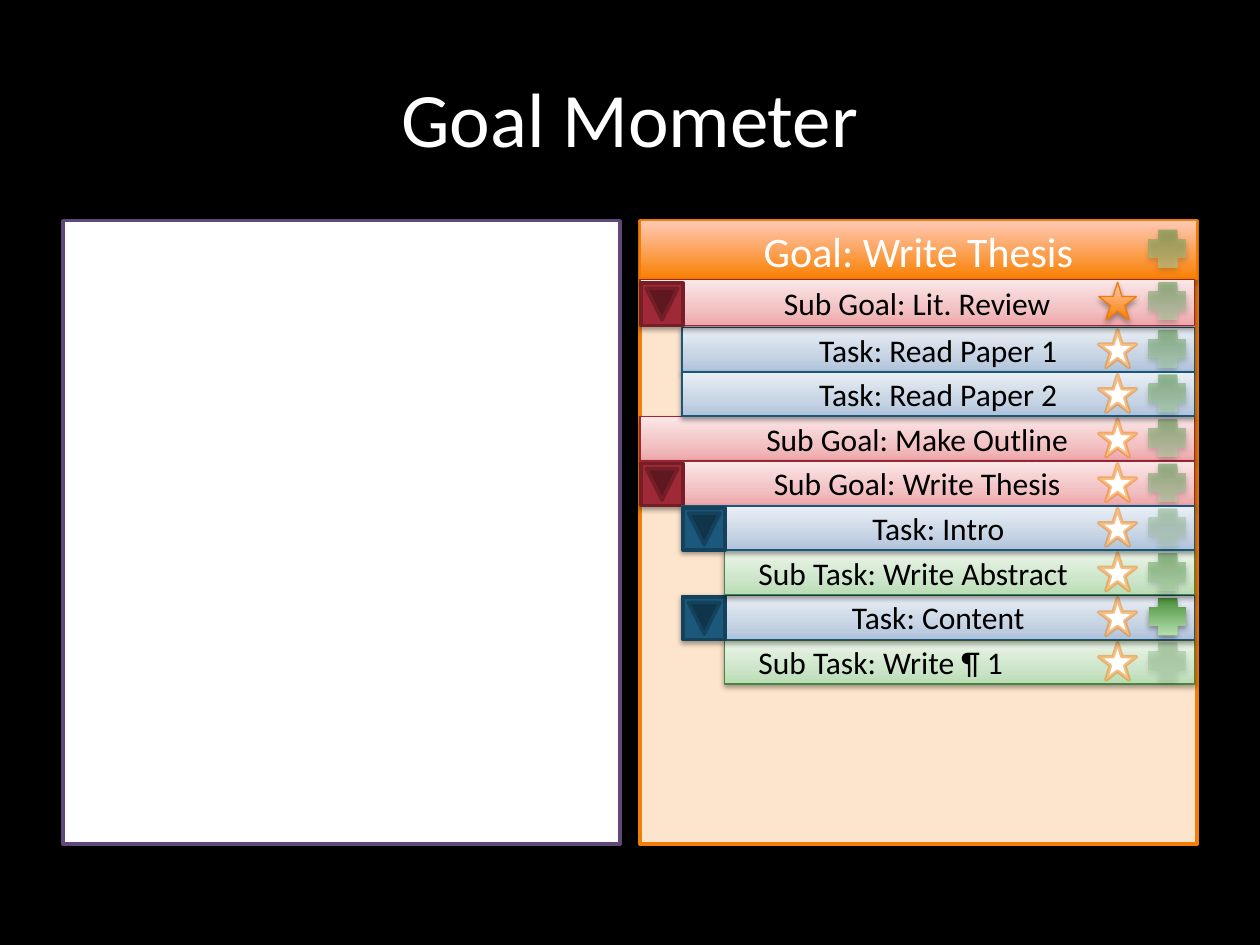
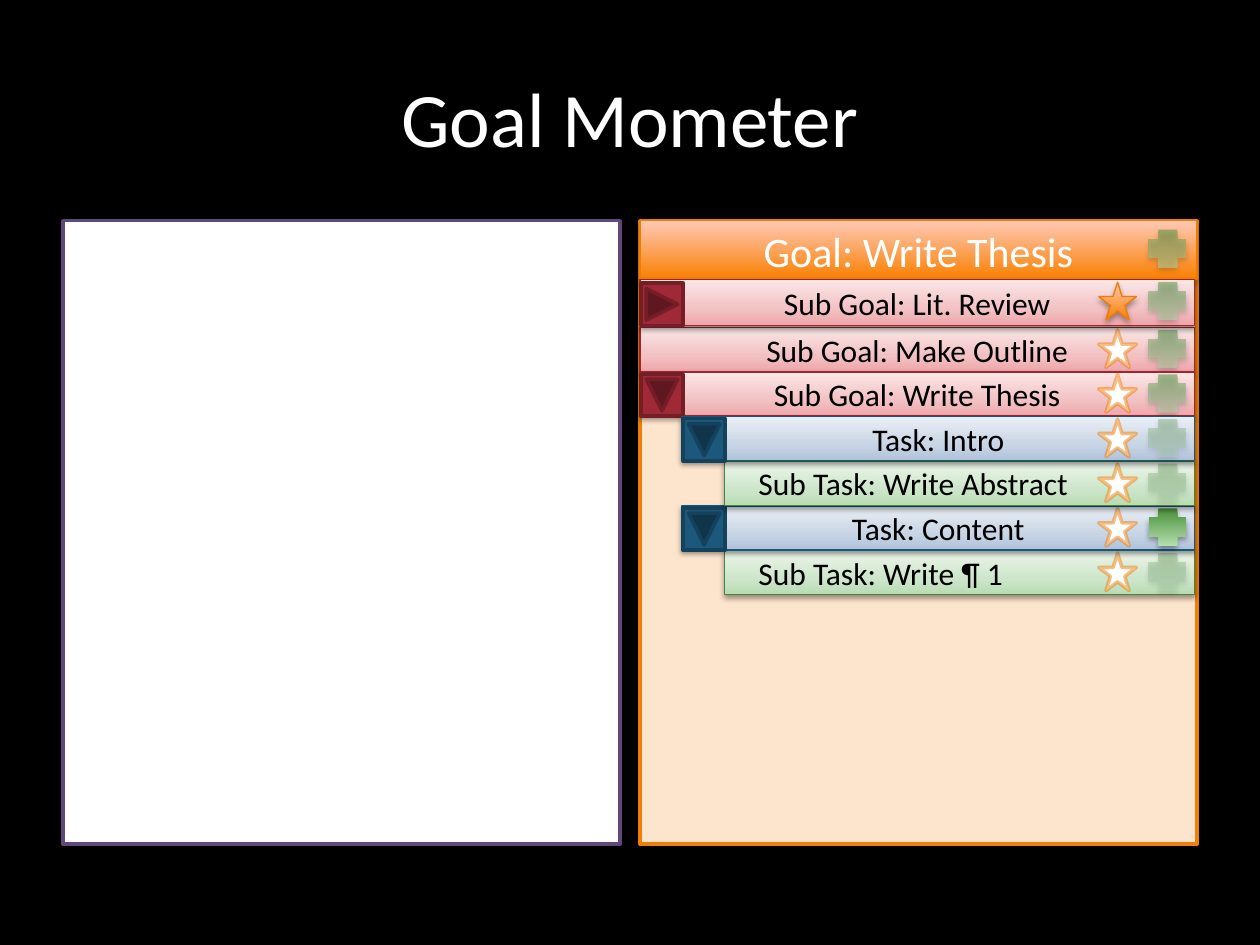
from pptx import Presentation
from pptx import util as u
from pptx.dml.color import RGBColor
from pptx.enum import shapes, text
from pptx.oxml import parse_xml
from pptx.oxml.ns import nsdecls, qn

BLACK = RGBColor(0x00, 0x00, 0x00)
WHITE = RGBColor(0xFF, 0xFF, 0xFF)
PURPLE = RGBColor(0x60, 0x48, 0x78)
PEACH = RGBColor(0xFD, 0xE5, 0xCD)
ORANGE = RGBColor(0xF0, 0x7F, 0x09)
ORANGE_EDGE = RGBColor(0xF0, 0x7C, 0x03)
ORANGE_BLEND = [(0, RGBColor(0xF9, 0x7F, 0x00)), (100, RGBColor(0xFF, 0xC9, 0xB5))]
PLUS_BLEND = [(0, RGBColor(0x48, 0x8F, 0x38)), (100, RGBColor(0xB5, 0xDF, 0xAF))]
RED_BLEND = [(0, RGBColor(0xEE, 0xA6, 0xA9)), (35, RGBColor(0xF2, 0xC1, 0xC3)),
             (100, RGBColor(0xFB, 0xE7, 0xE7))]
BLUE_BLEND = [(0, RGBColor(0xAF, 0xC2, 0xDA)), (35, RGBColor(0xC7, 0xD4, 0xE4)),
              (100, RGBColor(0xEA, 0xEF, 0xF5))]
GREEN_BLEND = [(0, RGBColor(0xB8, 0xDC, 0xB3)), (35, RGBColor(0xCD, 0xE5, 0xCA)),
               (100, RGBColor(0xEC, 0xF6, 0xEA))]

TITLE = "Goal Mometer"
GOAL = "Goal: Write Thesis"

LEVELS = {
    "Sub Goal": {"indent": 0, "blend": RED_BLEND, "edge": RGBColor(0x9E, 0x25, 0x33),
                 "button": RGBColor(0x9F, 0x29, 0x36), "button_edge": RGBColor(0x76, 0x1E, 0x28)},
    "Task": {"indent": 1, "blend": BLUE_BLEND, "edge": RGBColor(0x18, 0x57, 0x7C),
             "button": RGBColor(0x1B, 0x58, 0x7C), "button_edge": RGBColor(0x14, 0x41, 0x5C)},
    "Sub Task": {"indent": 2, "blend": GREEN_BLEND, "edge": RGBColor(0x4B, 0x84, 0x3F)},
}

OPEN, CLOSED = 90, 0
DONE = "Sub Goal: Lit. Review"
OUTLINE = ("Sub Goal: Make Outline", None, 50)
THESIS = ("Sub Goal: Write Thesis", OPEN, 50)
INTRO = ("Task: Intro", OPEN, 30)
CONTENT = ("Task: Content", OPEN, 100)
PARAGRAPH = ("Sub Task: Write ¶ 1", None, 30)

SLIDES = [
    {"rows": [(DONE, OPEN, 50), ("Task: Read Paper 1", None, 50),
              ("Task: Read Paper 2", None, 50), OUTLINE, THESIS, INTRO,
              ("Sub Task: Write Abstract", None, 50), CONTENT, PARAGRAPH],
     "stacking": [8, 7, 6, 3, 1, 0, 2, 4, 5]},
    {"rows": [(DONE, CLOSED, 50), OUTLINE, THESIS, INTRO,
              ("Sub Task: Write Abstract", None, 30), CONTENT, PARAGRAPH],
     "stacking": [6, 5, 1, 0, 2, 4, 3]},
]

PANEL_TOP, PANEL_WIDTH, PANEL_HEIGHT = 4.45, 11.23, 12.57
NOTES_LEFT, GOAL_LEFT = 1.27, 12.9
HEADER_HEIGHT = 1.19
FIRST_TOP, FIRST_HEIGHT = 5.64, 0.92
NEXT_TOP, ROW_PITCH, ROW_HEIGHT = 6.6, 0.9, 0.89
ROW_RIGHT, INDENT = 24.08, 0.85
STAR_LEFT, PLUS_LEFT, ICON_SIZE, ICON_DROP = 22.15, 23.16, 0.76, 0.05
BUTTON_SIZE = 0.85
SUB_TASK_MARGIN = 0.69


def apply(target, values):
    for name, value in values.items():
        setattr(target, name, value)


def color_xml(color, alpha):
    return (f'<a:srgbClr {nsdecls("a")} val="{color}">'
            f'<a:alpha val="{alpha * 1000}"/></a:srgbClr>')


def blend_fill(shape, stops, alpha=100):
    shape.fill.gradient()
    shape.fill.gradient_angle = 90
    stop_list = shape.element.spPr.find(qn("a:gradFill")).find(qn("a:gsLst"))
    for stop in list(stop_list):
        stop_list.remove(stop)
    for position, color in stops:
        stop_list.append(parse_xml(
            f'<a:gs {nsdecls("a")} pos="{position * 1000}">{color_xml(color, alpha)}</a:gs>'))


def add_shadow(shape, alpha, distance):
    shape.element.spPr.find(qn("a:effectLst")).append(parse_xml(
        f'<a:outerShdw {nsdecls("a")} blurRad="{u.Pt(3.1)}" dist="{u.Pt(distance)}" '
        f'dir="5400000" rotWithShape="0">{color_xml(BLACK, alpha)}</a:outerShdw>'))


def add_block(parent, kind, box, fill, edge=None, edge_width=0.75, alpha=100):
    shape = parent.shapes.add_shape(kind, *map(u.Cm, box))
    shape.shadow.inherit = False
    if isinstance(fill, list):
        blend_fill(shape, fill, alpha)
    else:
        shape.fill.solid()
        shape.fill.fore_color.rgb = fill
    if edge is None:
        shape.line.fill.background()
    else:
        shape.line.color.rgb = edge
        shape.line.width = u.Pt(edge_width)
    return shape


def write(shape, words, size, color, align=text.PP_ALIGN.CENTER):
    frame = shape.text_frame
    apply(frame, {"text": words, "word_wrap": True, "vertical_anchor": text.MSO_ANCHOR.MIDDLE})
    paragraph = frame.paragraphs[0]
    paragraph.alignment = align
    apply(paragraph.font, {"name": "Calibri", "size": u.Pt(size)})
    paragraph.font.color.rgb = color


def add_plus(parent, top, alpha):
    plus = add_block(parent, shapes.MSO_SHAPE.CROSS,
                     (PLUS_LEFT, top, ICON_SIZE, ICON_SIZE), PLUS_BLEND, alpha=alpha)
    plus.element.spPr.xfrm.set("flipV", "1")
    add_shadow(plus, 35, 1.8)


def add_star(parent, top, done):
    box = (STAR_LEFT, top, ICON_SIZE, ICON_SIZE)
    if done:
        star = add_block(parent, shapes.MSO_SHAPE.STAR_5_POINT, box, ORANGE_BLEND, ORANGE_EDGE)
        add_shadow(star, 35, 1.8)
    else:
        star = add_block(parent, shapes.MSO_SHAPE.STAR_5_POINT, box, WHITE, ORANGE, 2)
        line_fill = star.element.spPr.find(qn("a:ln")).find(qn("a:solidFill"))
        line_fill.clear()
        line_fill.append(parse_xml(color_xml(ORANGE, 50)))


def add_row(slide, index, words, turn, plus_alpha):
    level_name = words.split(":")[0]
    level = LEVELS[level_name]
    if index == 0:
        top, height = FIRST_TOP, FIRST_HEIGHT
    else:
        top, height = NEXT_TOP + (index - 1) * ROW_PITCH, ROW_HEIGHT
    left = GOAL_LEFT + level["indent"] * INDENT
    group = slide.shapes.add_group_shape()
    bar = add_block(group, shapes.MSO_SHAPE.RECTANGLE,
                    (left, top, ROW_RIGHT - left, height), level["blend"], level["edge"])
    add_shadow(bar, 38, 1.6)
    if level_name == "Sub Task":
        write(bar, words, 18, BLACK, text.PP_ALIGN.LEFT)
        bar.text_frame.margin_left = u.Cm(SUB_TASK_MARGIN)
    else:
        write(bar, words, 18, BLACK)
    add_plus(group, top + ICON_DROP, plus_alpha)
    add_star(group, top + ICON_DROP, words == DONE)
    if turn is not None:
        button = add_block(group, shapes.MSO_SHAPE.ACTION_BUTTON_FORWARD_OR_NEXT,
                           (left + 0.02, top + height - BUTTON_SIZE, BUTTON_SIZE, BUTTON_SIZE),
                           level["button"], level["button_edge"], 2)
        button.rotation = turn


def add_panels(slide):
    size = (PANEL_WIDTH, PANEL_HEIGHT)
    rectangle = shapes.MSO_SHAPE.RECTANGLE
    add_block(slide, rectangle, (NOTES_LEFT, PANEL_TOP, *size), WHITE, PURPLE, 2)
    group = slide.shapes.add_group_shape()
    add_block(group, rectangle, (GOAL_LEFT, PANEL_TOP, *size), PEACH, ORANGE, 2)
    header = add_block(group, rectangle, (GOAL_LEFT, PANEL_TOP, PANEL_WIDTH, HEADER_HEIGHT),
                       ORANGE_BLEND, ORANGE_EDGE)
    add_shadow(header, 35, 1.8)
    write(header, GOAL, 24, WHITE)
    add_plus(slide, PANEL_TOP + 0.18, 50)


def add_slide(presentation, content):
    slide = presentation.slides.add_slide(presentation.slide_layouts[5])
    title = slide.shapes.title
    apply(title, {"left": u.Cm(1.27), "top": u.Cm(0.76),
                  "width": u.Cm(22.86), "height": u.Cm(3.18)})
    write(title, TITLE, 44, WHITE)
    add_panels(slide)
    for index in content["stacking"]:
        add_row(slide, index, *content["rows"][index])


def main():
    presentation = Presentation()
    apply(presentation, {"slide_width": u.Cm(25.4), "slide_height": u.Cm(19.05)})
    background = presentation.slide_master.background.fill
    background.solid()
    background.fore_color.rgb = BLACK
    for content in SLIDES:
        add_slide(presentation, content)
    presentation.save("out.pptx")


if __name__ == "__main__":
    main()
